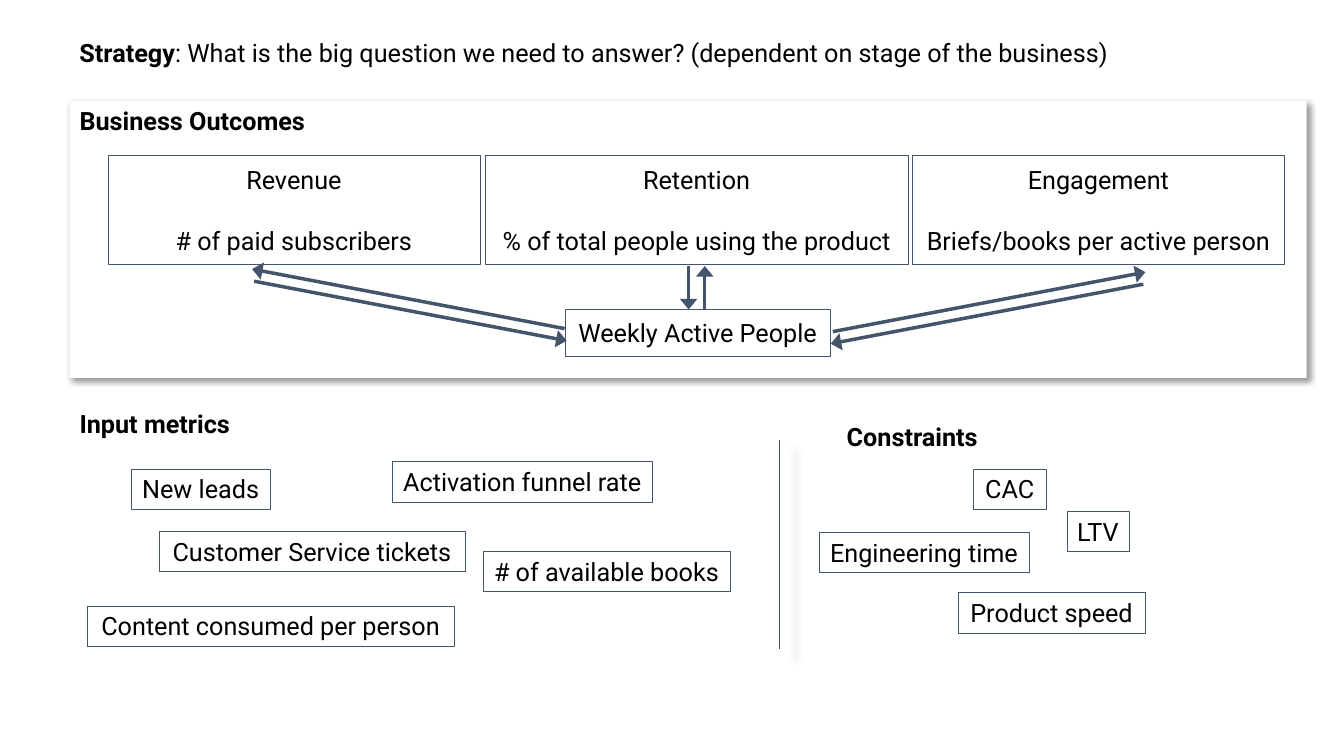
"""Build a slide linking business outcomes, input metrics and constraints."""
from dataclasses import dataclass

from lxml import etree
from pptx import Presentation
from pptx.dml.color import RGBColor
from pptx.enum.shapes import MSO_CONNECTOR, MSO_SHAPE
from pptx.enum.text import MSO_ANCHOR, PP_ALIGN
from pptx.oxml.ns import qn
from pptx.util import Emu, Pt

RECTANGLE = MSO_SHAPE.RECTANGLE
STRAIGHT = MSO_CONNECTOR.STRAIGHT
CENTER = PP_ALIGN.CENTER
MIDDLE = MSO_ANCHOR.MIDDLE

EMU_PER_PX = 9144
FONT = "Roboto"
TEXT_SIZE = 18
BLACK, WHITE, SLATE = "000000", "FFFFFF", "44546A"
ROW_HEIGHT = 40


@dataclass(frozen=True)
class Heading:
    left: int
    top: int
    width: int
    title: str
    detail: str = ""


@dataclass(frozen=True)
class Metric:
    left: int
    top: int
    width: int
    lines: tuple[str, ...]
    height: int = ROW_HEIGHT


@dataclass(frozen=True)
class Line:
    start: tuple[int, int]
    end: tuple[int, int]
    weight: float = 2.5
    arrow: bool = True


@dataclass(frozen=True)
class Shadow:
    blur: int
    distance: int
    angle: int
    scale: int


HEADINGS = (
    Heading(69, 100, 261, "Business Outcomes"),
    Heading(69, 400, 179, "Input metrics"),
    Heading(69, 32, 1067, "Strategy",
            ": What is the big question we need to answer? (dependent on stage of the business)"),
    Heading(830, 413, 160, "Constraints"),
)
INPUT_METRICS = (
    Metric(86, 601, 365, ("Content consumed per person",)),
    Metric(389, 458, 258, ("Activation funnel rate",)),
    Metric(130, 465, 138, ("New leads",)),
    Metric(158, 527, 303, ("Customer Service tickets",)),
    Metric(479, 547, 245, ("# of available books",)),
)
CONSTRAINTS = (
    Metric(965, 465, 73, ("CAC",)),
    Metric(1058, 507, 62, ("LTV",)),
    Metric(812, 528, 209, ("Engineering time",)),
    Metric(950, 588, 186, ("Product speed",)),
)
OUTCOMES = (
    Metric(107, 154, 369, ("Revenue", "# of paid subscribers"), 108),
    Metric(481, 154, 420, ("Retention", "% of total people using the product"), 108),
    Metric(905, 154, 369, ("Engagement", "Briefs/books per active person"), 108),
    Metric(561, 307, 262, ("Weekly Active People",), 46),
)
FLOWS = (
    Line((683, 264), (683, 307)),
    Line((699, 307), (699, 264)),
    Line((252, 279), (562, 338)),
    Line((560, 326), (250, 267)),
    Line((826, 329), (1136, 270)),
    Line((1134, 282), (824, 341)),
)
DIVIDER = Line((773, 437), (773, 644), 0.5, False)
PANEL_SHADOW = Shadow(4, 3, 45, 100)
DIVIDER_SHADOW = Shadow(5, 0, 0, 102)


def px(length: int) -> Emu:
    return Emu(length * EMU_PER_PX)


def rgb(color: str) -> RGBColor:
    return RGBColor.from_string(color)


def set_font(font, bold: bool = False) -> None:
    font.name, font.size, font.bold = FONT, Pt(TEXT_SIZE), bold
    font.color.rgb = rgb(BLACK)


def set_effects(shape, shadow: Shadow | None = None) -> None:
    effects = etree.SubElement(shape._element.spPr, qn("a:effectLst"))
    if shadow is None:
        return
    outer = etree.SubElement(
        effects, qn("a:outerShdw"),
        blurRad=str(Pt(shadow.blur)), dist=str(Pt(shadow.distance)),
        dir=str(shadow.angle * 60000), sx=str(shadow.scale * 1000),
        sy=str(shadow.scale * 1000), algn="ctr", rotWithShape="0")
    color = etree.SubElement(outer, qn("a:srgbClr"), val=BLACK)
    etree.SubElement(color, qn("a:alpha"), val="40000")


def draw_panel(shapes) -> None:
    panel = shapes.add_shape(RECTANGLE, px(69), px(100), px(1227), px(275))
    panel.fill.solid()
    panel.fill.fore_color.rgb = rgb(WHITE)
    panel.line.fill.background()
    set_effects(panel, PANEL_SHADOW)


def draw_heading(shapes, heading: Heading) -> None:
    frame = shapes.add_textbox(px(heading.left), px(heading.top),
                               px(heading.width), px(ROW_HEIGHT)).text_frame
    frame.word_wrap = True
    paragraph = frame.paragraphs[0]
    set_font(paragraph.font, bold=True)
    title = paragraph.add_run()
    title.text = heading.title
    set_font(title.font, bold=True)
    if heading.detail:
        detail = paragraph.add_run()
        detail.text = heading.detail
        set_font(detail.font)


def draw_metric(shapes, metric: Metric) -> None:
    box = shapes.add_shape(RECTANGLE, px(metric.left), px(metric.top),
                           px(metric.width), px(metric.height))
    box.fill.background()
    box.line.color.rgb = rgb(SLATE)
    box.line.width = Pt(0.25)
    box.shadow.inherit = False
    frame = box.text_frame
    frame.word_wrap = False
    frame.vertical_anchor = MIDDLE
    frame.text = "\n".join(metric.lines)
    for paragraph in frame.paragraphs:
        paragraph.alignment = CENTER
        set_font(paragraph.font)
    for paragraph in frame.paragraphs[1:]:
        paragraph.space_before = Pt(22)


def draw_line(shapes, line: Line, shadow: Shadow | None = None) -> None:
    connector = shapes.add_connector(STRAIGHT, *map(px, line.start + line.end))
    connector.line.color.rgb = rgb(SLATE)
    connector.line.width = Pt(line.weight)
    if line.arrow:
        outline = connector._element.spPr.find(qn("a:ln"))
        etree.SubElement(outline, qn("a:tailEnd"), type="triangle", w="lg", len="med")
    set_effects(connector, shadow)


def main() -> None:
    presentation = Presentation()
    presentation.slide_width, presentation.slide_height = px(1333), px(750)
    shapes = presentation.slides.add_slide(presentation.slide_layouts[6]).shapes
    draw_panel(shapes)
    for heading in HEADINGS:
        draw_heading(shapes, heading)
    for metric in INPUT_METRICS + CONSTRAINTS + OUTCOMES:
        draw_metric(shapes, metric)
    for flow in FLOWS:
        draw_line(shapes, flow)
    draw_line(shapes, DIVIDER, DIVIDER_SHADOW)
    presentation.save("out.pptx")


if __name__ == "__main__":
    main()
